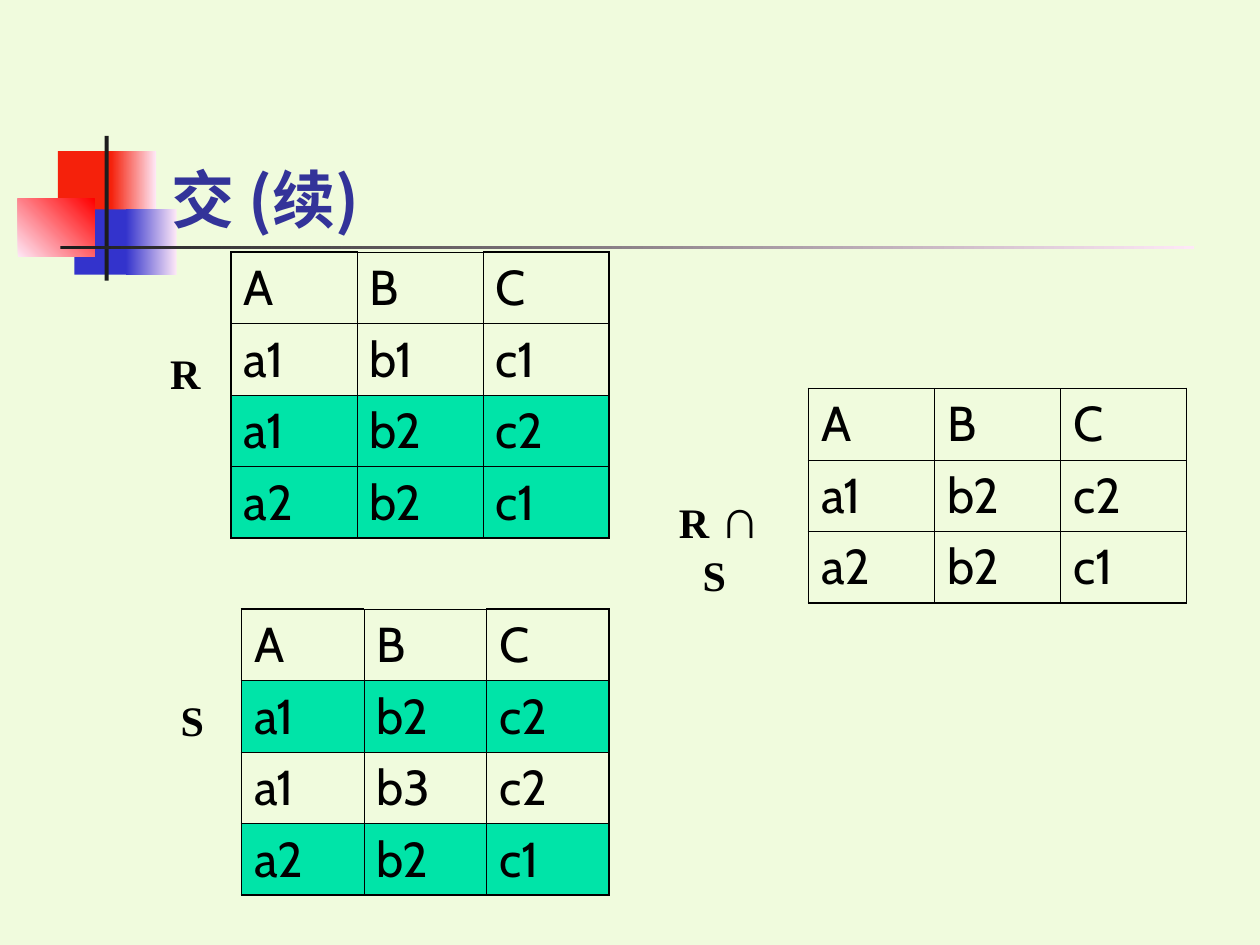
from dataclasses import dataclass

from lxml.etree import SubElement
from pptx import Presentation
from pptx.dml.color import RGBColor
from pptx.enum.shapes import MSO_SHAPE as Preset
from pptx.enum.text import MSO_ANCHOR as Anchor, PP_ALIGN as Align
from pptx.oxml.ns import qn
from pptx.util import Cm, Pt

BACKGROUND, BLACK, INK = "F0FBDD", "000000", "1C1C1C"
RED, BLUE, PALE, MATCH = "F5210B", "3333CC", "FEE8F7", "00E4A8"
TITLE_FONT, CELL_FONT, LABEL_FONT = "Noto Sans CJK SC", "Cabin", "Times New Roman"
THIN, THICK = Pt(0.45), Pt(1.08)
ROW_HEIGHT = 1.44


@dataclass
class Block:
    left: float
    top: float
    width: float
    height: float
    color: str
    end_color: str | None = None
    angle: int = 0


@dataclass
class Relation:
    left: float
    top: float
    column_width: float
    rows: list[str]
    matches: tuple[int, ...] = ()


@dataclass
class Label:
    left: float
    top: float
    width: float
    runs: list[tuple[str, int]]


BLOCKS = [
    Block(1.17, 3.05, 1.22, 1.32, RED),
    Block(2.24, 3.05, 0.91, 1.32, RED, PALE),
    Block(1.5, 4.22, 1.17, 1.32, BLUE),
    Block(2.54, 4.22, 1.02, 1.32, BLUE, PALE),
    Block(0.36, 4.01, 1.55, 1.17, PALE, "FF0000", 45),
    Block(2.11, 2.74, 0.08, 2.92, INK),
    Block(1.22, 4.95, 22.86, 0.08, INK, PALE),
]
RELATIONS = [
    Relation(4.66, 5.08, 2.54, ["A B C", "a1 b1 c1", "a1 b2 c2", "a2 b2 c1"], (2, 3)),
    Relation(16.3, 7.83, 2.54, ["A B C", "a1 b2 c2", "a2 b2 c1"]),
    Relation(4.87, 12.28, 2.47, ["A B C", "a1 b2 c2", "a1 b3 c2", "a2 b2 c1"], (1, 3)),
]
LABELS = [
    Label(3.18, 6.35, 0.84, [("R", 24)]),
    Label(3.39, 13.34, 0.84, [("S", 24)]),
    Label(13.34, 9.74, 2.33, [("R ", 24), ("∩", 32), (" S ", 24)]),
]


def rgb(color: str) -> RGBColor:
    return RGBColor.from_string(color)


def set_font(paragraph, name: str, color: str, size: int | None = None, bold: bool = False) -> None:
    font = paragraph.font
    font.name, font.bold, font.color.rgb = name, bold, rgb(color)
    if size:
        font.size = Pt(size)


def draw_block(slide, block: Block) -> None:
    shape = slide.shapes.add_shape(
        Preset.RECTANGLE, Cm(block.left), Cm(block.top), Cm(block.width), Cm(block.height))
    shape.shadow.inherit = False
    shape.line.fill.background()
    if block.end_color is None:
        shape.fill.solid()
        shape.fill.fore_color.rgb = rgb(block.color)
        return
    shape.fill.gradient()
    shape.fill.gradient_angle = block.angle
    for stop, color in zip(shape.fill.gradient_stops, (block.color, block.end_color)):
        stop.color.rgb = rgb(color)


def draw_title(slide, text: str) -> None:
    box = slide.shapes.add_textbox(Cm(3.2), Cm(1.7), Cm(21.64), Cm(3.18))
    frame = box.text_frame
    frame.word_wrap = True
    frame.vertical_anchor = Anchor.BOTTOM
    paragraph = frame.paragraphs[0]
    run = paragraph.add_run()
    run.text = text
    set_font(paragraph, TITLE_FONT, "333399", 36, True)
    # East Asian characters take their typeface from a:ea
    SubElement(run._r.get_or_add_rPr(), qn("a:ea"), typeface=TITLE_FONT)


def set_borders(cell, widths: dict[str, int]) -> None:
    """Add the border lines ahead of the cell's fill, as the schema orders them."""
    properties = cell._tc.get_or_add_tcPr()
    for index, (side, width) in enumerate(widths.items()):
        line = SubElement(properties, qn(f"a:ln{side}"), w=str(width))
        fill = SubElement(line, qn("a:solidFill"))
        SubElement(fill, qn("a:srgbClr"), val=BLACK)
        properties.insert(index, line)


def draw_relation(slide, relation: Relation) -> None:
    grid = [row.split() for row in relation.rows]
    row_count, column_count = len(grid), len(grid[0])
    table = slide.shapes.add_table(
        row_count, column_count, Cm(relation.left), Cm(relation.top),
        Cm(relation.column_width * column_count), Cm(ROW_HEIGHT * row_count)).table
    table.first_row = table.horz_banding = False
    for column in table.columns:
        column.width = Cm(relation.column_width)
    for row_index, values in enumerate(grid):
        table.rows[row_index].height = Cm(ROW_HEIGHT)
        for column_index, value in enumerate(values):
            cell = table.cell(row_index, column_index)
            cell.text = value
            paragraph = cell.text_frame.paragraphs[0]
            paragraph.space_before = Pt(7)
            set_font(paragraph, CELL_FONT, BLACK, 28)
            if row_index in relation.matches:
                cell.fill.solid()
                cell.fill.fore_color.rgb = rgb(MATCH)
            else:
                cell.fill.background()
            first, last = column_index == 0, column_index == column_count - 1
            thick_sides = {
                "L": first,
                "R": last,
                "T": row_index == 0 and (first or last),
                "B": row_index == row_count - 1,
            }
            set_borders(cell, {side: THICK if thick else THIN
                               for side, thick in thick_sides.items()})


def draw_label(slide, label: Label) -> None:
    box = slide.shapes.add_textbox(Cm(label.left), Cm(label.top), Cm(label.width), Cm(2.33))
    frame = box.text_frame
    frame.word_wrap = False
    frame.vertical_anchor = Anchor.MIDDLE
    paragraph = frame.paragraphs[0]
    paragraph.alignment = Align.CENTER
    set_font(paragraph, LABEL_FONT, BLACK, bold=True)
    for text, size in label.runs:
        run = paragraph.add_run()
        run.text = text
        run.font.size = Pt(size)


def main() -> None:
    presentation = Presentation()
    presentation.slide_width, presentation.slide_height = Cm(25.4), Cm(19.05)
    slide = presentation.slides.add_slide(presentation.slide_layouts[6])
    slide.background.fill.solid()
    slide.background.fill.fore_color.rgb = rgb(BACKGROUND)
    for block in BLOCKS:
        draw_block(slide, block)
    draw_title(slide, "交 (续)")
    for relation in RELATIONS:
        draw_relation(slide, relation)
    for label in LABELS:
        draw_label(slide, label)
    presentation.save("out.pptx")


if __name__ == "__main__":
    main()
